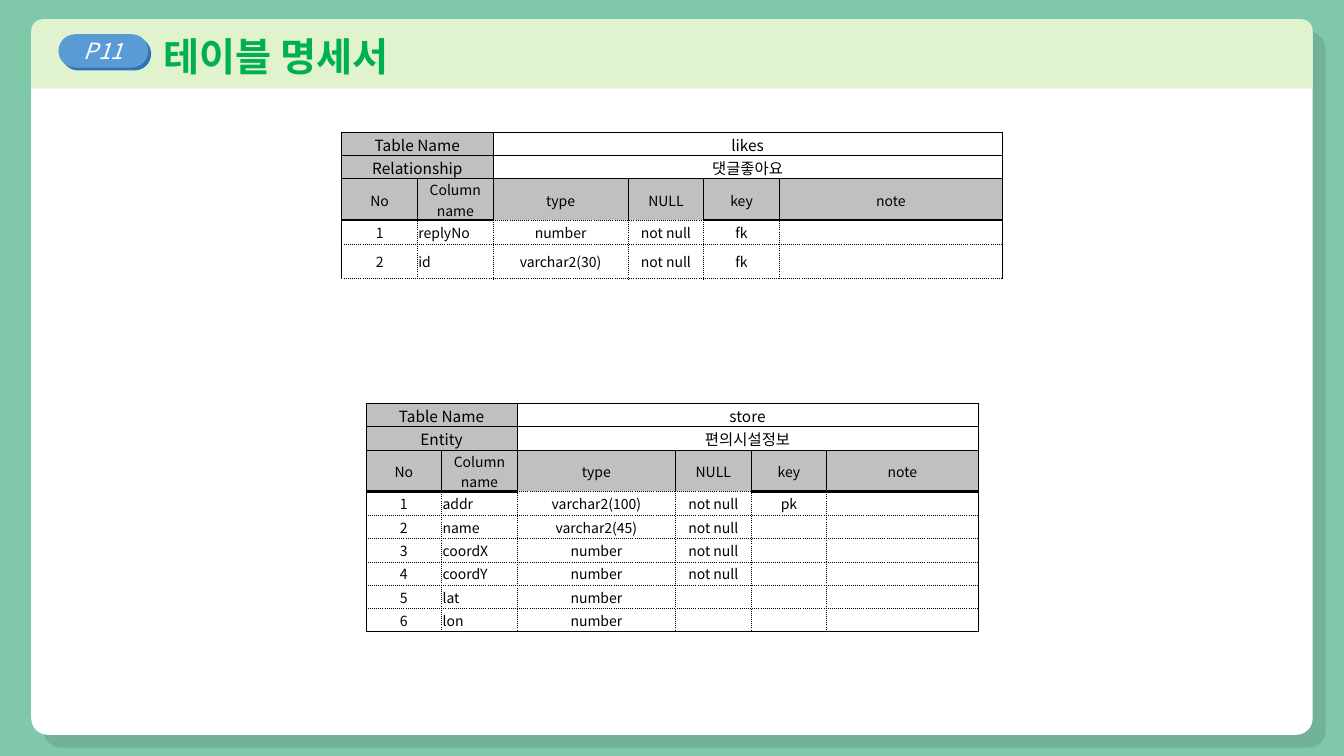
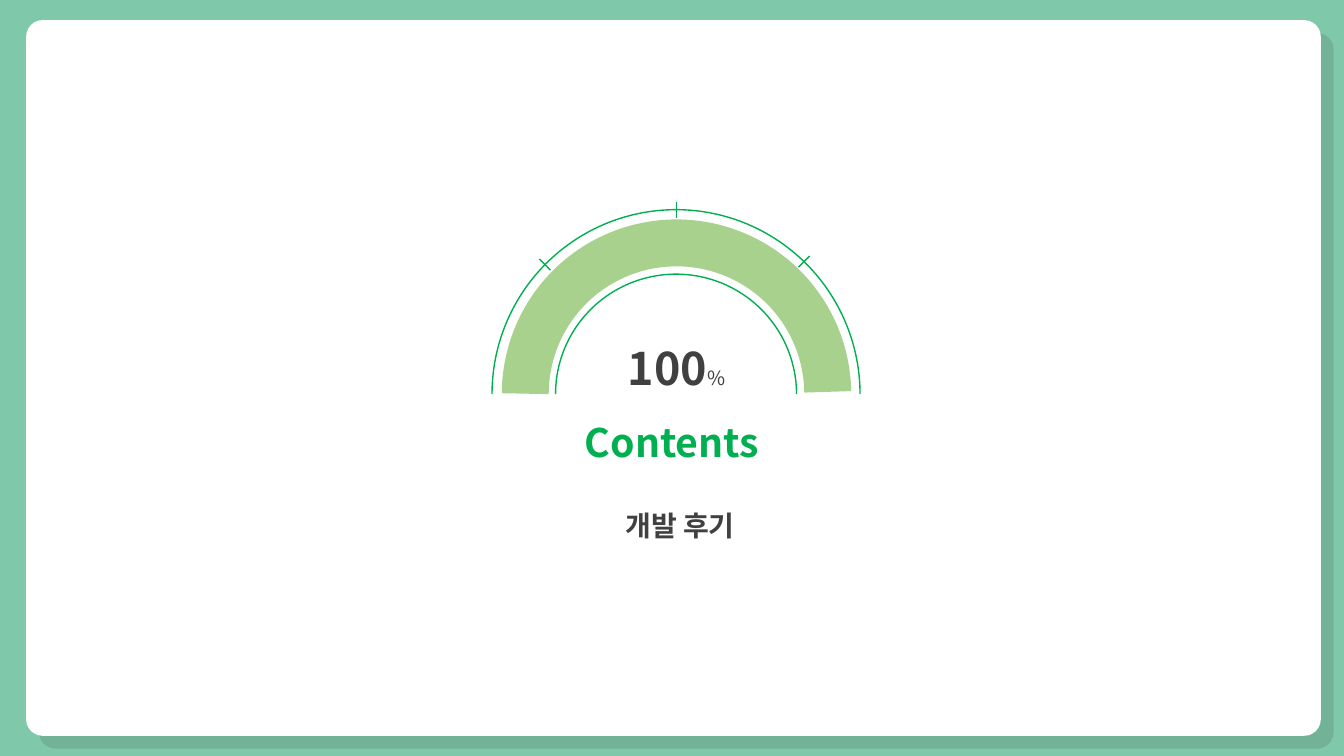
from lxml import etree
from pptx import Presentation
from pptx.dml.color import RGBColor
from pptx.enum import shapes as kinds, text as txt
from pptx.oxml.ns import qn
from pptx.util import Inches, Pt

# Shared look
FONT = "Noto Sans CJK KR"
BACKDROP, PANEL, BAND = "7FC8AA", "FFFFFF", "E1F2CE"
GREEN, PALE_GREEN, DARK = "00B050", "A9D18E", "404040"
BADGE, BADGE_EDGE = "5B9BD5", "2E75B6"
BLACK, GREY = "000000", "C0C0C0"
THIN, DOTTED, THICK = (0.5, "solid"), (0.5, "dot"), (2, "solid")
CENTER, LEFT, JUSTIFY = (txt.PP_ALIGN.CENTER, txt.PP_ALIGN.LEFT,
                         txt.PP_ALIGN.JUSTIFY)
SHAPE = kinds.MSO_SHAPE

# Content
PAGE_LABEL, PAGE_TITLE = "P11", "테이블 명세서"
HEADINGS = ["No", "Column name", "type", "NULL", "key", "note"]
SPECS = [
    dict(at=(3.39, 1.31), widths=[0.75, 0.75, 1.34, 0.75, 0.75, 2.21],
         heights=[0.23, 0.23, 0.34, 0.24, 0.34], last_edge=DOTTED,
         facts=[("Table Name", "likes"), ("Relationship", "댓글좋아요")],
         columns=[("replyNo", "number", "not null", "fk"),
                  ("id", "varchar2(30)", "not null", "fk")]),
    dict(at=(3.63, 4), widths=[0.75, 0.75, 1.57, 0.75, 0.75, 0.75, 0.75],
         heights=[0.23, 0.23, 0.34, 0.24] + [0.23] * 5, last_edge=THIN,
         facts=[("Table Name", "store"), ("Entity", "편의시설정보")],
         columns=[("addr", "varchar2(100)", "not null", "pk"),
                  ("name", "varchar2(45)", "not null", ""),
                  ("coordX", "number", "not null", ""),
                  ("coordY", "number", "not null", ""),
                  ("lat", "number", "", ""),
                  ("lon", "number", "", "")]),
]
# Captions: box, runs (text, size, bold), colour, indent, line spacing
CAPTIONS = [
    ((4.47, 4.1, 4.39, 0.57), [("Contents", 28, True)], GREEN, 0, None),
    ((6.03, 3.33, 1.36, 0.64), [("100", 32, True), ("%", 14, False)],
     DARK, 0, None),
    ((4.62, 4.83, 3.75, 0.54), [("개발 후기", 20, True)], DARK, 0.5, 1.5),
]
GAUGE_RINGS = [(5.79, 1.17, 1.83, 3.65), (6.11, 2.12, 1.19, 2.39)]
GAUGE_TICKS = [(6.71, 2, 6.71, 2.16), (5.35, 2.57, 5.46, 2.68),
               (8.03, 2.54, 7.92, 2.65)]
GAUGE_ARC = (5.21, 2.41, 3, 3)


def rgb(value):
    return RGBColor.from_string(value)


def child(parent, tag, **attributes):
    return etree.SubElement(parent, qn(tag), attributes)


def add_run(paragraph, words, size, color, bold=False, italic=False):
    run = paragraph.add_run()
    run.text = words
    font = run.font
    font.size, font.bold, font.italic, font.name = Pt(size), bold, italic, FONT
    font.color.rgb = rgb(color)
    child(run._r.get_or_add_rPr(), "a:ea", typeface=FONT)


def indent(paragraph, inches):
    properties = paragraph._p.get_or_add_pPr()
    properties.set("marL", str(Inches(inches)))
    properties.set("indent", "0")


def add_shape(slide, kind, box, fill=None, line=None, adjust=()):
    shape = slide.shapes.add_shape(kind, *map(Inches, box))
    shape.shadow.inherit = False
    for i, value in enumerate(adjust):
        shape.adjustments[i] = value
    if fill:
        shape.fill.solid()
        shape.fill.fore_color.rgb = rgb(fill)
    else:
        shape.fill.background()
    if line:
        shape.line.color.rgb, shape.line.width = rgb(line[0]), Pt(line[1])
    else:
        shape.line.fill.background()
    return shape


def cast_shadow(shape, color, percent, distance):
    effects = shape._element.spPr.find(qn("a:effectLst"))
    shadow = child(effects, "a:outerShdw", blurRad="0", dist=str(Pt(distance)),
                   dir=str(45 * 60000), algn="tl", rotWithShape="0")
    tint = child(shadow, "a:srgbClr", val=color)
    child(tint, "a:alpha", val=str(percent * 1000))


def new_slide(deck, panel_box):
    slide = deck.slides.add_slide(deck.slide_layouts[6])
    slide.background.fill.solid()
    slide.background.fill.fore_color.rgb = rgb(BACKDROP)
    panel = add_shape(slide, SHAPE.ROUNDED_RECTANGLE, panel_box, PANEL,
                      adjust=[0.023])
    cast_shadow(panel, BLACK, 10, 13)
    return slide


def add_header(slide):
    band = add_shape(slide, SHAPE.ROUND_2_SAME_RECTANGLE,
                     (0.31, 0.19, 12.71, 0.69), BAND)
    badge = add_shape(slide, SHAPE.ROUNDED_RECTANGLE,
                      (0.58, 0.34, 0.89, 0.33), BADGE, adjust=[0.5])
    cast_shadow(badge, BADGE_EDGE, 100, 3)
    for shape in (band, badge):
        shape.text_frame.vertical_anchor = txt.MSO_ANCHOR.MIDDLE
    title, label = (s.text_frame.paragraphs[0] for s in (band, badge))
    title.alignment, label.alignment = LEFT, CENTER
    indent(title, 1.18)
    add_run(title, PAGE_TITLE, 28, GREEN, bold=True)
    add_run(label, PAGE_LABEL, 16, "FFFFFF", italic=True)


def set_borders(cell, edges):
    properties = cell._tc.get_or_add_tcPr()
    for place, side in enumerate("LRTB"):
        if side not in edges:
            continue
        width, dash = edges[side]
        line = etree.Element(qn("a:ln" + side), w=str(Pt(width)))
        child(child(line, "a:solidFill"), "a:srgbClr", val=BLACK)
        child(line, "a:prstDash", val=dash)
        properties.insert(place, line)


def cell_edges(row, first, last, row_count, column_count, last_edge):
    """Solid head rows, dotted body, thick rule below all but type and NULL."""
    if row < 2:
        return dict.fromkeys("LRTB", THIN)
    rule = DOTTED if first in (2, 3) else THICK
    if row == 2:
        return dict(L=THIN, R=THIN, T=THIN, B=rule)
    return dict(L=DOTTED if first else THIN,
                R=THIN if last == column_count - 1 else DOTTED,
                T=rule if row == 3 else DOTTED,
                B=last_edge if row == row_count - 1 else DOTTED)


def add_spec_table(slide, spec):
    widths, heights = spec["widths"], spec["heights"]
    rows = spec["facts"] + [HEADINGS] + [
        (str(n), *column, "") for n, column in enumerate(spec["columns"], 1)]
    table = slide.shapes.add_table(
        len(rows), len(widths), *map(Inches, spec["at"]),
        Inches(sum(widths)), Inches(sum(heights))).table
    table.first_row = table.horz_banding = False
    for column, width in zip(table.columns, widths):
        column.width = Inches(width)
    for row, height in zip(table.rows, heights):
        row.height = Inches(height)

    for r, values in enumerate(rows):
        starts = [0, 2] if r < 2 else range(len(HEADINGS))
        ends = [s - 1 for s in starts[1:]] + [len(widths) - 1]
        for first, last, words in zip(starts, ends, values):
            if last > first:
                table.cell(r, first).merge(table.cell(r, last))
            edges = cell_edges(r, first, last, len(rows), len(widths),
                               spec["last_edge"])
            for c in range(first, last + 1):
                cell = table.cell(r, c)
                cell.margin_left = cell.margin_right = Inches(0.01)
                cell.margin_top, cell.margin_bottom = Inches(0.01), 0
                cell.vertical_anchor = txt.MSO_ANCHOR.MIDDLE
                if r == 2 or (r < 2 and first == 0):
                    cell.fill.solid()
                    cell.fill.fore_color.rgb = rgb(GREY)
                else:
                    cell.fill.background()
                inner = {} if c == first else {"L"}
                set_borders(cell, {s: e for s, e in edges.items()
                                   if s not in inner})
                line = cell.text_frame.paragraphs[0]
                line.alignment = JUSTIFY if r > 2 and c == 1 else CENTER
                if words and c == first:
                    add_run(line, words, 11 if r < 2 else 10, BLACK)
                else:
                    child(line._p, "a:endParaRPr", sz="1000")


def add_caption(slide, box, runs, color, margin, spacing):
    caption = slide.shapes.add_textbox(*map(Inches, box)).text_frame
    caption.word_wrap = True
    caption.auto_size = txt.MSO_AUTO_SIZE.SHAPE_TO_FIT_TEXT
    line = caption.paragraphs[0]
    line.alignment = CENTER
    if margin:
        line.level = 1
        indent(line, margin)
    if spacing:
        line.line_spacing = spacing
    for words, size, bold in runs:
        add_run(line, words, size, color, bold)


def add_gauge(slide):
    for box in GAUGE_RINGS:
        ring = add_shape(slide, SHAPE.RIGHT_BRACKET, box, line=(GREEN, 1),
                         adjust=[1.047])
        ring.rotation = 270
    for ends in GAUGE_TICKS:
        tick = slide.shapes.add_connector(kinds.MSO_CONNECTOR.STRAIGHT,
                                          *map(Inches, ends))
        tick.line.color.rgb, tick.line.width = rgb(GREEN), Pt(1)
        child(tick._element.spPr, "a:effectLst")
    add_shape(slide, SHAPE.ARC, GAUGE_ARC, line=(PALE_GREEN, 33.5),
              adjust=[108.087, 215.495])


def main():
    deck = Presentation()
    deck.slide_width, deck.slide_height = Inches(13.33), Inches(7.5)

    # Table specifications
    tables = new_slide(deck, (0.31, 0.19, 12.71, 7.1))
    add_header(tables)
    for spec in SPECS:
        add_spec_table(tables, spec)

    # Section divider
    divider = new_slide(deck, (0.26, 0.2, 12.84, 7.1))
    for caption in CAPTIONS:
        add_caption(divider, *caption)
    add_gauge(divider)

    deck.save("out.pptx")


if __name__ == "__main__":
    main()
